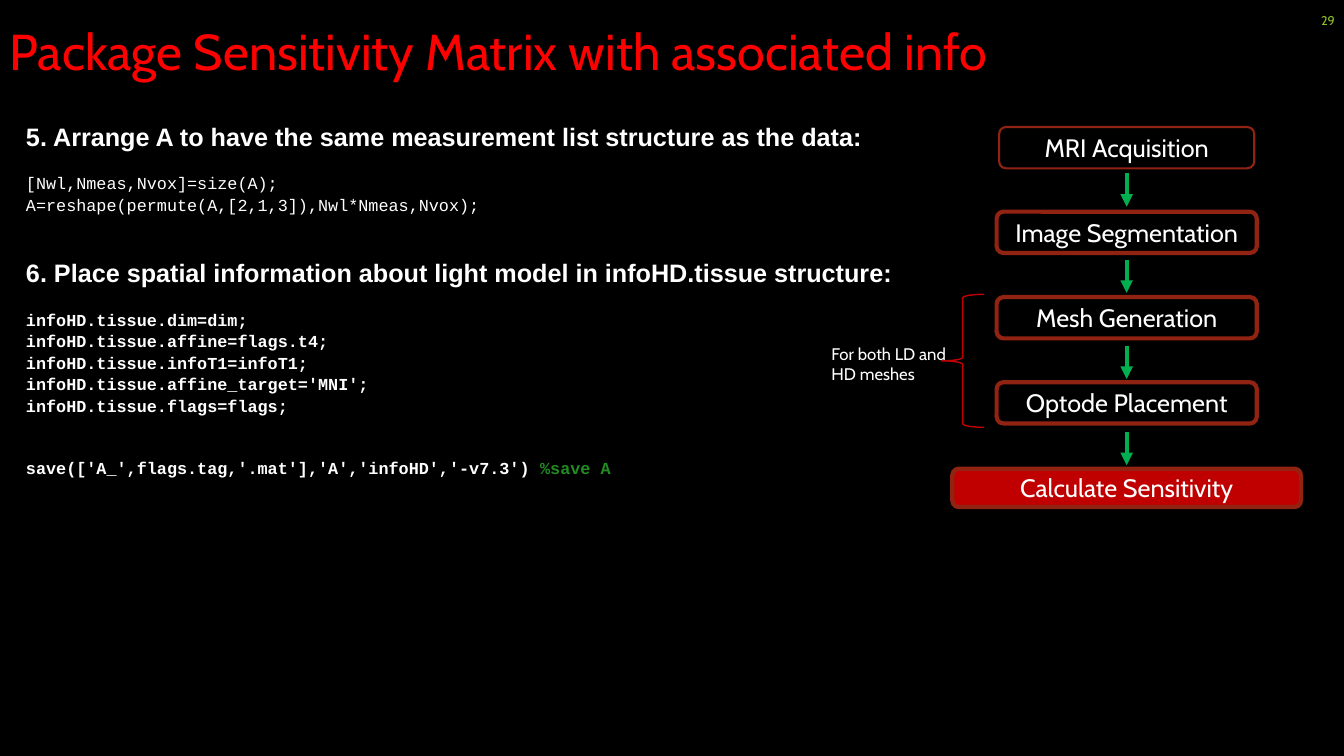
from lxml import etree
from pptx import Presentation
from pptx.dml.color import RGBColor
from pptx.enum.shapes import MSO_CONNECTOR, MSO_SHAPE
from pptx.enum.text import MSO_ANCHOR, PP_ALIGN
from pptx.oxml.ns import qn
from pptx.util import Pt

LEFT, MID, RIGHT = PP_ALIGN.LEFT, PP_ALIGN.CENTER, PP_ALIGN.RIGHT
TOP, CENTRE = MSO_ANCHOR.TOP, MSO_ANCHOR.MIDDLE
ROUND, BRACE = MSO_SHAPE.ROUNDED_RECTANGLE, MSO_SHAPE.RIGHT_BRACE
STRAIGHT = MSO_CONNECTOR.STRAIGHT
WHITE = "FFFFFF"


def rgb(code):
    return RGBColor.from_string(code)


def write(shape, rows, align=LEFT, anchor=TOP, space=1.0):
    """Fill a shape; each row is (space before, runs), each run (text, size, font, colour, bold)."""
    frame = shape.text_frame
    frame.word_wrap = True
    frame.vertical_anchor = anchor
    for i, (gap, runs) in enumerate(rows):
        para = frame.add_paragraph() if i else frame.paragraphs[0]
        para.alignment = align
        para.line_spacing = space
        para.space_before = Pt(gap)
        for text, size, face, color, bold in runs:
            run = para.add_run()
            run.text = text
            font = run.font
            font.size, font.name, font.bold = Pt(size), face, bold
            font.color.rgb = rgb(color)


deck = Presentation()
deck.slide_width, deck.slide_height = Pt(960), Pt(540)
slide = deck.slides.add_slide(deck.slide_layouts[6])
slide.background.fill.solid()
slide.background.fill.fore_color.rgb = rgb("000000")
shapes = slide.shapes

# Title, brace label and page number
labels = [
    ("Package Sensitivity Matrix with associated info",
     (0, 0, 960, 71.3), 36, "FF0000", LEFT, CENTRE),
    ("For both LD and HD meshes", (586.8, 242, 99.4, 36), 12, WHITE, LEFT, TOP),
    ("29", (906.5, 0, 54, 28.8), 9, "90C226", RIGHT, CENTRE),
]
for text, place, size, color, align, anchor in labels:
    box = shapes.add_textbox(*map(Pt, place))
    write(box, [(0, [(text, size, "Cabin", color, False)])], align, anchor)

# Steps with code
head = (18, "Arial", WHITE, True)
plain = (12, "Courier New", WHITE, False)
code = (12, "Courier New", WHITE, True)
note = (12, "Courier New", "228B22", True)
LINE = 14.5
steps = [
    (0, [("5. Arrange A to have the same measurement list structure as the data:", *head)]),
    (LINE, [("[Nwl,Nmeas,Nvox]=size(A);", *plain)]),
    (0, [("A=reshape(permute(A,[2,1,3]),Nwl*Nmeas,Nvox);", *plain)]),
    (2 * LINE, [("6. Place spatial information about light model in infoHD.tissue structure:", *head)]),
    (LINE, [("infoHD.tissue.dim=dim;", *code)]),
    (0, [("infoHD.tissue.affine=flags.t4;", *code)]),
    (0, [("infoHD.tissue.infoT1=infoT1;", *code)]),
    (0, [("infoHD.tissue.affine_target='MNI';", *code)]),
    (0, [("infoHD.tissue.flags=flags;", *code)]),
    (2 * LINE, [("save(['A_',flags.tag,'.mat'],'A','infoHD','-v7.3') ", *code),
                ("%save A", *note)]),
]
body = shapes.add_textbox(Pt(11.5), Pt(81.4), Pt(808.6), Pt(254.2))
write(body, steps, space=1.07)

# Flow chart: text, top, width, height, line width, fill
AXIS = 804.8
stages = [
    ("MRI Acquisition", 90.7, 182.2, 29.5, 1.5, None),
    ("Image Segmentation", 151.2, 185.8, 29.5, 3, None),
    ("Mesh Generation", 212.2, 185.8, 29.5, 3, None),
    ("Optode Placement", 273, 185.8, 29.5, 3, None),
    ("Calculate Sensitivity", 334.8, 249, 27.4, 3, "C00000"),
]
for text, top, width, height, weight, fill in stages:
    stage = shapes.add_shape(ROUND, Pt(AXIS - width / 2), Pt(top), Pt(width), Pt(height))
    stage.shadow.inherit = False
    if fill:
        stage.fill.solid()
        stage.fill.fore_color.rgb = rgb(fill)
    else:
        stage.fill.background()
    stage.line.color.rgb = rgb("912313")
    stage.line.width = Pt(weight)
    write(stage, [(0, [(text, 18, "Cabin", WHITE, False)])], MID, CENTRE)

for i in range(len(stages) - 1):
    top = 123.8 + 61.6 * i
    arrow = shapes.add_connector(STRAIGHT, Pt(AXIS), Pt(top), Pt(AXIS), Pt(top + 23.8))
    arrow.line.color.rgb = rgb("00B050")
    arrow.line.width = Pt(3)
    etree.SubElement(arrow.line._get_or_add_ln(), qn("a:tailEnd"), type="triangle")
    etree.SubElement(arrow._element.spPr, qn("a:effectLst"))

brace = shapes.add_shape(BRACE, Pt(672.5), Pt(210.2), Pt(30.2), Pt(95))
brace.rotation = 180
brace.shadow.inherit = False
brace.fill.background()
brace.line.color.rgb = rgb("C00000")
brace.line.width = Pt(1)

deck.save("out.pptx")
